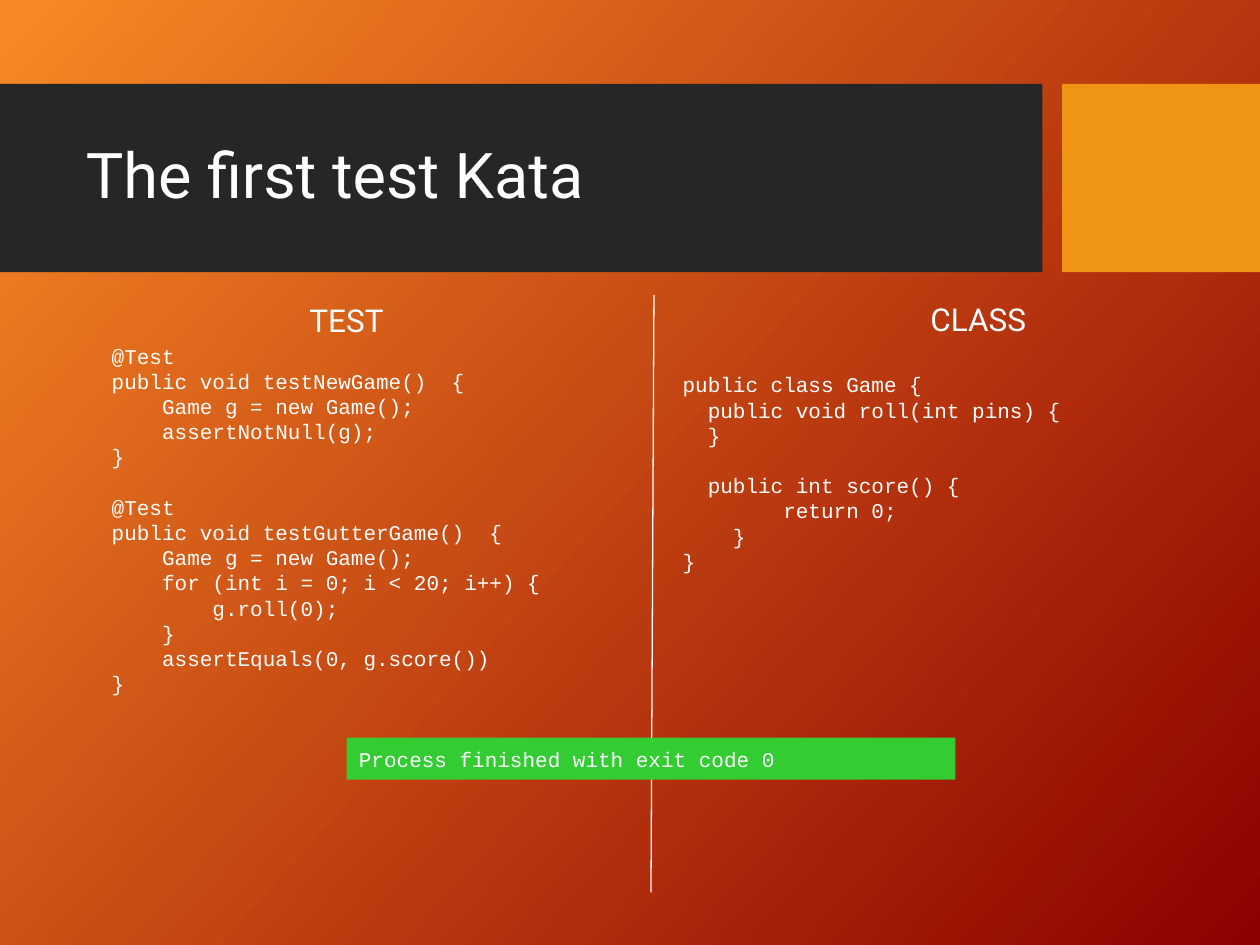
from lxml import etree
from pptx import Presentation
from pptx.dml.color import RGBColor
from pptx.enum import shapes, text
from pptx.util import Pt

HUES = {"glow": "F78925", "deep": "8D0000", "dark": "262626",
        "gold": "F09415", "pass": "33CC33", "ink": "FFFFFF"}
HEAD = {"name": "Roboto", "size": Pt(36)}
LABEL = {"name": "Roboto", "size": Pt(18)}
CODE = {"name": "Courier New", "size": Pt(12)}
PITCH = 14.4  # line height of code

TEST = """\
    @Test
    public void testNewGame()  {
        Game g = new Game();
        assertNotNull(g);
    }

    @Test
    public void testGutterGame()  {
        Game g = new Game();
        for (int i = 0; i < 20; i++) {
            g.roll(0);
        }
        assertEquals(0, g.score())
    }"""

GAME = """\
public class Game {
  public void roll(int pins) {
  }

  public int score() {
        return 0;
    }
}"""


def hue(key):
    return RGBColor.from_string(HUES[key])


class Deck:
    """Holds the current slide and draws styled elements, in points."""

    def __init__(self, slide):
        self.slide = slide

    def back(self, keys, angle):
        fill = self.slide.background.fill
        fill.gradient()
        fill.gradient_angle = angle
        for stop, key, pos in zip(fill.gradient_stops, keys, (0, 1)):
            stop.color.rgb = hue(key)
            stop.position = pos

    def rect(self, key, *area):
        box = self.slide.shapes.add_shape(
            shapes.MSO_SHAPE.RECTANGLE, *map(Pt, area))
        box.shadow.inherit = False
        box.fill.solid()
        box.fill.fore_color.rgb = hue(key)
        box.line.fill.background()
        return box

    def label(self, words, style, *area, **para):
        box = self.slide.shapes.add_textbox(*map(Pt, area))
        self.put(box, words, style, **para)
        return box

    def code(self, words, *area):
        return self.label(words, CODE, *area, line_spacing=Pt(PITCH))

    def line(self, key, *ends):
        rule = self.slide.shapes.add_connector(
            shapes.MSO_CONNECTOR.STRAIGHT, *map(Pt, ends))
        rule.line.color.rgb = hue(key)
        rule.line.width = Pt(0.75)
        space = rule._element.nsmap["a"]
        etree.SubElement(rule._element.spPr, f"{{{space}}}effectLst")

    def put(self, box, words, style, **para):
        """Give each line a paragraph; an empty line becomes space before."""
        frame = box.text_frame
        frame.word_wrap = True
        part, gap = frame.paragraphs[0], 0
        for row in words.split("\n"):
            if not row:
                gap += PITCH
                continue
            if part.runs:
                part = frame.add_paragraph()
            part.add_run().text = row
            if gap:
                part.space_before = Pt(gap)
            gap = 0
            for name, value in para.items():
                setattr(part, name, value)
            for name, value in style.items():
                setattr(part.font, name, value)
            part.font.color.rgb = hue("ink")


def main():
    show = Presentation()
    show.slide_width, show.slide_height = Pt(720), Pt(540)
    deck = Deck(show.slides.add_slide(show.slide_layouts[6]))
    left, mid = text.PP_ALIGN.LEFT, text.PP_ALIGN.CENTER

    deck.back(("glow", "deep"), 318)
    deck.rect("dark", 0, 48, 595.7, 107.6)
    deck.rect("gold", 607, 48, 113, 107.6)
    title = deck.label("The first test Kata", HEAD, 42, 59, 543, 85,
                       line_spacing=0.9)
    title.text_frame.vertical_anchor = text.MSO_ANCHOR.MIDDLE

    deck.code(TEST, 28, 192.5, 318, 209)
    deck.line("ink", 373.7, 168.5, 372, 510)
    deck.code(GAME, 383, 209, 318, 137)
    deck.label("TEST", LABEL, 114, 168.5, 168, 29, alignment=mid)
    deck.label("CLASS", LABEL, 475, 168, 168, 29, alignment=mid)

    result = deck.rect("pass", 198, 421.5, 348, 24)
    deck.put(result, "Process finished with exit code 0", CODE,
             alignment=left)

    show.save("out.pptx")


if __name__ == "__main__":
    main()
